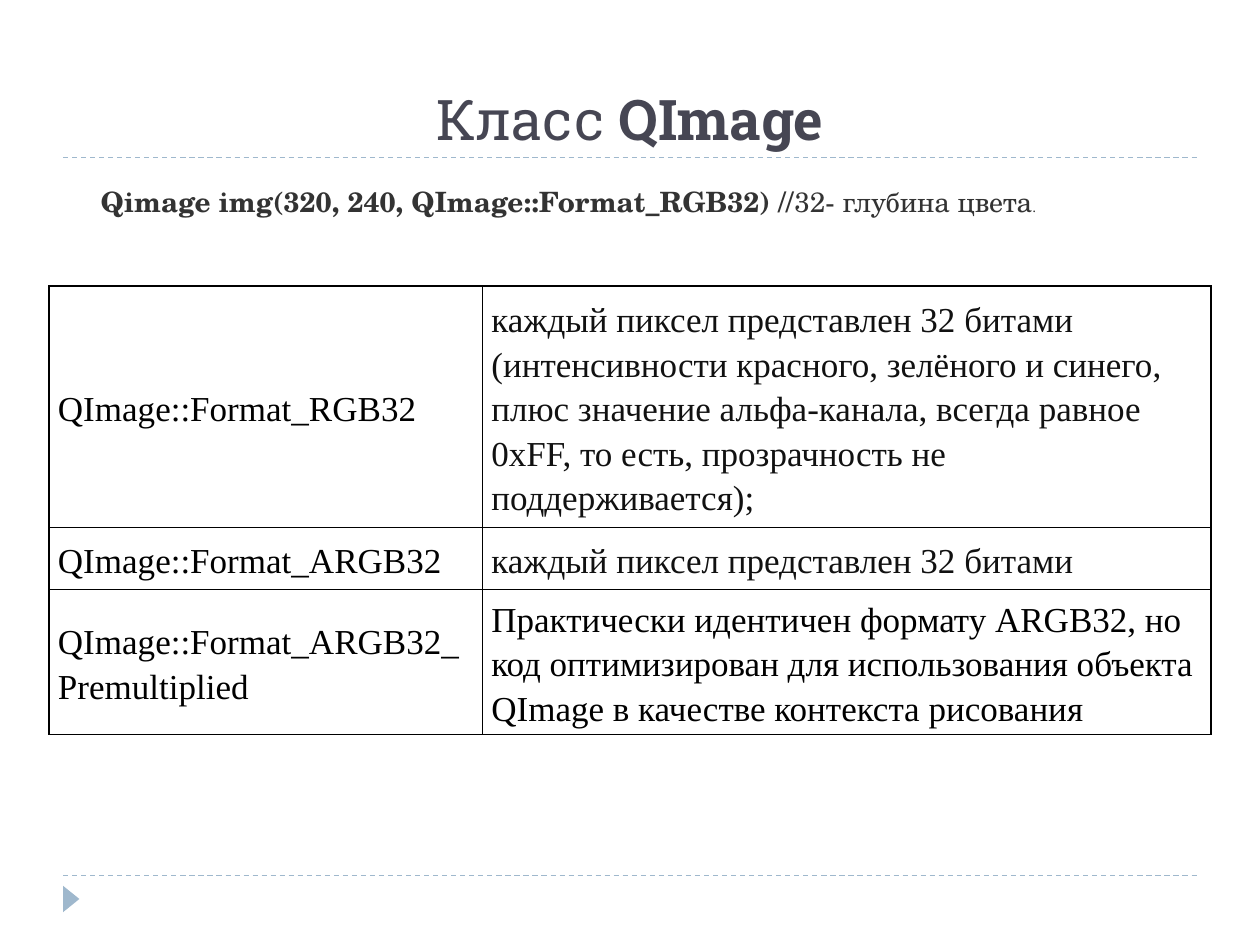
"""Build a slide that describes the pixel formats of the QImage class."""
from dataclasses import dataclass

import pptx
import pptx.dml.color
import pptx.enum.dml
import pptx.enum.shapes
import pptx.enum.text
import pptx.oxml
import pptx.oxml.ns
import pptx.util

Inches = pptx.util.Inches
Pt = pptx.util.Pt
MIDDLE = pptx.enum.text.MSO_ANCHOR.MIDDLE


@dataclass(frozen=True)
class Theme:
    """Colours, fonts and type sizes of the slide."""
    title: str = "464653"
    code: str = "333333"
    detail: str = "111111"
    ink: str = "000000"
    accent: str = "9FB8CD"
    paper: str = "FFFFFF"
    title_font: str = "Roboto Slab"
    code_font: str = "TeX Gyre Schola"
    table_font: str = "Times New Roman"
    title_size: int = 32
    code_size: int = 16
    stop_size: int = 8
    table_size: int = 20
    rule_width: float = 0.75
    border_width: float = 1


THEME = Theme()

FORMATS = [
    ("QImage::Format_RGB32",
     "каждый пиксел представлен 32 битами (интенсивности красного, зелёного "
     "и синего, плюс значение альфа-канала, всегда равное 0xFF, то есть, "
     "прозрачность не поддерживается);", THEME.detail, 1.91),
    ("QImage::Format_ARGB32",
     "каждый пиксел представлен 32 битами", THEME.detail, 0.49),
    ("QImage::Format_ARGB32_Premultiplied",
     "Практически идентичен формату ARGB32, но код оптимизирован для "
     "использования объекта QImage в качестве контекста рисования",
     THEME.ink, 1.15),
]


def rgb(value):
    """Return the colour for a hex value."""
    return pptx.dml.color.RGBColor.from_string(value)


def add_run(paragraph, text, font, size, color, bold=False):
    """Add a formatted run to a paragraph."""
    run = paragraph.add_run()
    run.text = text
    run.font.name = font
    run.font.size = Pt(size)
    run.font.bold = bold
    run.font.color.rgb = rgb(color)


def add_rule(slide, left, top, width):
    """Draw a dashed horizontal rule."""
    rule = slide.shapes.add_connector(
        pptx.enum.shapes.MSO_CONNECTOR.STRAIGHT,
        Inches(left), Inches(top), Inches(left + width), Inches(top))
    rule.line.color.rgb = rgb(THEME.accent)
    rule.line.width = Pt(THEME.rule_width)
    rule.line.dash_style = pptx.enum.dml.MSO_LINE.DASH
    properties = rule._element.spPr
    properties.append(properties.makeelement(pptx.oxml.ns.qn("a:effectLst"), {}))


def add_title(slide, left, top, width, height):
    """Place the title with a rule along its bottom edge."""
    add_rule(slide, left, top + height, width)
    title = slide.shapes.add_textbox(
        Inches(left), Inches(top), Inches(width), Inches(height))
    frame = title.text_frame
    frame.word_wrap = True
    frame.vertical_anchor = pptx.enum.text.MSO_ANCHOR.BOTTOM
    heading = frame.paragraphs[0]
    heading.alignment = pptx.enum.text.PP_ALIGN.CENTER
    for text, bold in (("Класс ", False), ("QImage", True)):
        add_run(heading, text, THEME.title_font, THEME.title_size, THEME.title, bold)


def add_code_line(slide, left, top, width, height):
    """Place the constructor call and its comment."""
    band = slide.shapes.add_shape(
        pptx.enum.shapes.MSO_SHAPE.RECTANGLE,
        Inches(left), Inches(top), Inches(width), Inches(height))
    band.shadow.inherit = False
    band.fill.solid()
    band.fill.fore_color.rgb = rgb(THEME.paper)
    band.line.fill.background()
    frame = band.text_frame
    frame.word_wrap = True
    frame.vertical_anchor = MIDDLE
    frame.auto_size = pptx.enum.text.MSO_AUTO_SIZE.SHAPE_TO_FIT_TEXT
    statement = frame.paragraphs[0]
    statement.alignment = pptx.enum.text.PP_ALIGN.LEFT
    for text, size, bold in (
            ("Qimage img(320, 240, QImage::Format_RGB32) //", THEME.code_size, True),
            ("32- глубина цвета", THEME.code_size, False),
            (".", THEME.stop_size, False)):
        add_run(statement, text, THEME.code_font, size, THEME.code, bold)


def add_borders(cell):
    """Outline a table cell on all four sides."""
    properties = cell._tc.get_or_add_tcPr()
    for position, side in enumerate(("lnL", "lnR", "lnT", "lnB")):
        properties.insert(position, pptx.oxml.parse_xml(
            f'<a:{side} {pptx.oxml.ns.nsdecls("a")} w="{Pt(THEME.border_width)}">'
            f'<a:solidFill><a:srgbClr val="{THEME.ink}"/></a:solidFill></a:{side}>'))


def fill_cell(cell, text, color):
    """Write and format one table cell."""
    cell.fill.background()
    add_borders(cell)
    cell.vertical_anchor = MIDDLE
    cell.margin_left = cell.margin_right = Inches(0.07)
    cell.margin_top = cell.margin_bottom = 0
    entry = cell.text_frame.paragraphs[0]
    entry.line_spacing = 1.15
    add_run(entry, text, THEME.table_font, THEME.table_size, color)


def add_formats(slide, left, top, width, name_width):
    """Place the table of pixel formats."""
    heights = [height for *_, height in FORMATS]
    formats = slide.shapes.add_table(
        len(FORMATS), 2, Inches(left), Inches(top),
        Inches(width), Inches(sum(heights))).table
    formats.first_row = False
    formats.horz_banding = False
    formats.columns[0].width = Inches(name_width)
    formats.columns[1].width = Inches(width - name_width)
    for index, (name, meaning, color, height) in enumerate(FORMATS):
        formats.rows[index].height = Inches(height)
        fill_cell(formats.cell(index, 0), name, THEME.ink)
        fill_cell(formats.cell(index, 1), meaning, color)


def add_footer(slide, left, top, width):
    """Place the bottom rule and the page marker below it."""
    add_rule(slide, left, top, width)
    marker = slide.shapes.add_shape(
        pptx.enum.shapes.MSO_SHAPE.ISOSCELES_TRIANGLE,
        Inches(left - 0.04), Inches(top + 0.12), Inches(0.21), Inches(0.13))
    marker.rotation = 90
    marker.shadow.inherit = False
    marker.fill.solid()
    marker.fill.fore_color.rgb = rgb(THEME.accent)
    marker.line.fill.background()


def main():
    """Build and save the presentation."""
    deck = pptx.Presentation()
    deck.slide_width = Inches(10)
    deck.slide_height = Inches(7.5)
    slide = deck.slides.add_slide(deck.slide_layouts[6])
    add_footer(slide, 0.5, 6.95, 9)
    add_title(slide, 0.5, 0.17, 9, 1.08)
    add_code_line(slide, 0.7, 1.41, 8.59, 0.37)
    add_formats(slide, 0.39, 2.27, 9.22, 3.44)
    deck.save("out.pptx")


if __name__ == "__main__":
    main()
